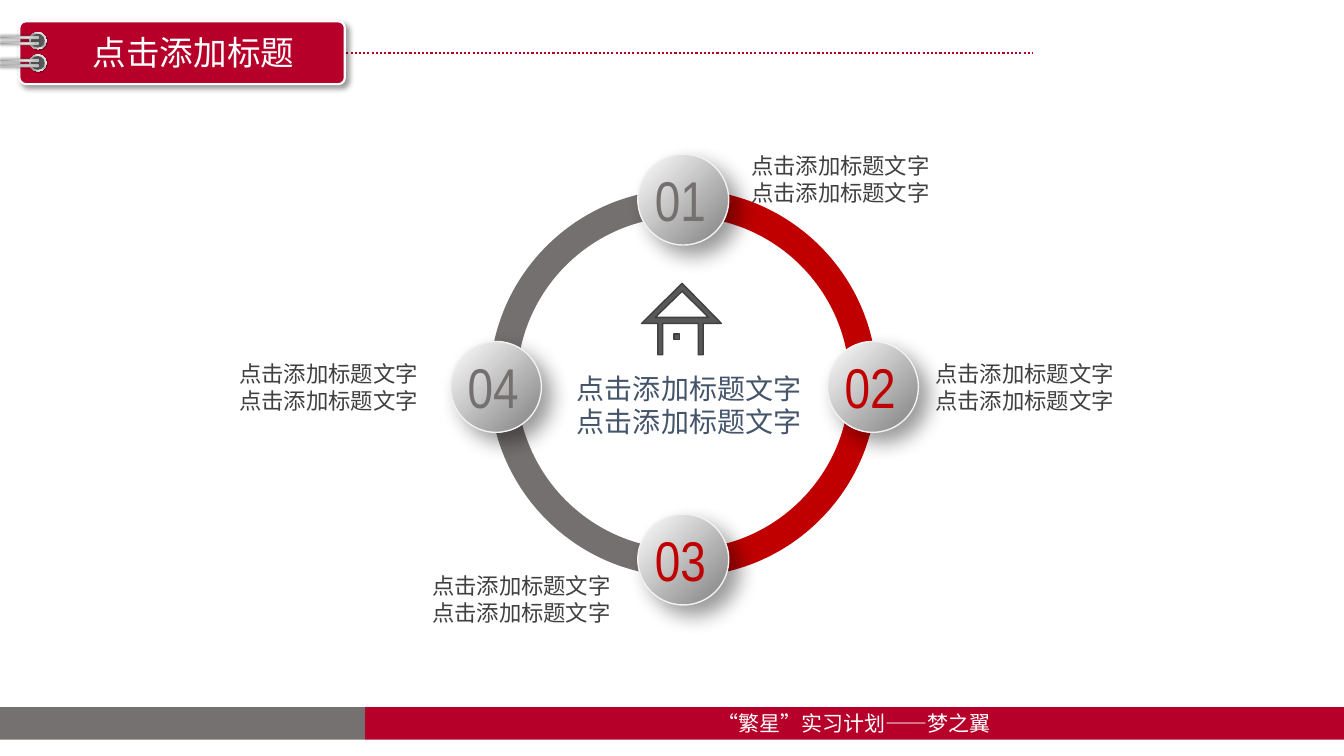
"""Build a four-step ring slide with a clipped title tag and a footer."""
from dataclasses import dataclass
from typing import NamedTuple, Optional

from pptx import Presentation
from pptx import util as u
from pptx.dml.color import RGBColor
from pptx.enum import dml, shapes, text
from pptx.oxml import parse_xml
from pptx.oxml.ns import nsdecls, qn

Stops = tuple[tuple[int, str], ...]
Point = tuple[float, float]
OVAL = shapes.MSO_SHAPE.OVAL
RECT = shapes.MSO_SHAPE.RECTANGLE
ROUND = shapes.MSO_SHAPE.ROUNDED_RECTANGLE


@dataclass(frozen=True)
class Theme:
    """Colours, fonts and type sizes."""
    brand: str = "B6002A"
    red: str = "C00000"
    grey: str = "757070"
    base: str = "767171"
    white: str = "FFFFFF"
    rim: str = "F2F2F2"
    steel: str = "BFBFBF"
    dark: str = "595959"
    ink: str = "404040"
    slate: str = "44546A"
    disc: Stops = ((0, "FFFFFF"), (100, "808080"))
    ring: Stops = ((0, "FFFFFF"), (17, "A6A6A6"), (35, "F2F2F2"),
                   (55, "A6A6A6"), (75, "F2F2F2"), (100, "A6A6A6"))
    rod: Stops = ((0, "808080"), (23, "A6A6A6"), (52, "D9D9D9"),
                  (74, "FFFFFF"), (100, "A6A6A6"))
    hans: str = "Noto Sans CJK SC"
    slim: str = "Arial Narrow"
    foot: int = 15
    body: int = 16
    core: int = 20
    title: int = 24
    digit: int = 40


class Box(NamedTuple):
    """Left, top, width and height in centimetres."""
    x: float
    y: float
    w: float
    h: float

    def cm(self) -> list[u.Length]:
        """Give the four lengths."""
        return [u.Cm(side) for side in self]


class Shade(NamedTuple):
    """Blur and distance in points, angle in degrees."""
    blur: float
    dist: float
    angle: int


class Step(NamedTuple):
    """One disc with its number and label."""
    mark: str
    hub: Point
    tint: str
    wide: float
    note: Point


class Arc(NamedTuple):
    """A quarter of the ring, from one direction to the next."""
    start: tuple[int, int]
    end: tuple[int, int]
    tint: str


T = Theme()
HUB: Point = (17.22, 9.65)
OUTER, INNER, DISC, BEND = 4.88, 4.19, 2.29, 0.55
LABEL = "点击添加标题文字"
STEPS = (
    Step("01", (17.22, 5.03), T.grey, 1.83, (18.68, 3.71)),
    Step("02", (22.0, 9.75), T.red, 2.01, (23.32, 8.95)),
    Step("03", (17.22, 14.1), T.red, 2.03, (10.64, 14.3)),
    Step("04", (12.5, 9.75), T.grey, 1.98, (5.78, 8.95)),
)
ARCS = (
    Arc((-1, 0), (0, 1), T.grey),
    Arc((1, 0), (0, -1), T.red),
    Arc((0, -1), (-1, 0), T.grey),
    Arc((0, 1), (1, 0), T.red),
)
HOUSE: list[list[Point]] = [
    [(17.19, 7.14), (16.17, 8.15), (16.58, 8.15), (16.58, 8.94),
     (16.7, 8.94), (16.7, 8.15), (17.6, 8.15), (17.6, 8.94),
     (17.72, 8.94), (17.72, 8.15), (18.18, 8.15)],
    [(16.51, 8.0), (17.19, 7.34), (17.86, 8.0)],
    [(16.99, 8.42), (16.99, 8.55), (17.13, 8.55), (17.13, 8.42)],
]


def paint(shape, fill: str, edge: Optional[str] = None, width: float = 1) -> None:
    """Set a plain fill and an optional outline."""
    shape.shadow.inherit = False
    shape.fill.solid()
    shape.fill.fore_color.rgb = RGBColor.from_string(fill)
    if edge:
        shape.line.color.rgb = RGBColor.from_string(edge)
        shape.line.width = u.Pt(width)
    else:
        shape.line.fill.background()


def blend(shape, stops: Stops, angle: int) -> None:
    """Swap the fill for a linear gradient."""
    shape.fill.background()
    marks = "".join(f'<a:gs pos="{pos * 1000}"><a:srgbClr val="{tint}"/></a:gs>'
                    for pos, tint in stops)
    grad = parse_xml(f'<a:gradFill {nsdecls("a")} rotWithShape="1"><a:gsLst>{marks}'
                     f'</a:gsLst><a:lin ang="{angle * 60000}" scaled="0"/></a:gradFill>')
    props = shape._element.spPr
    props.replace(props.find(qn("a:noFill")), grad)


def cast(shape, shade: Shade) -> None:
    """Add an outer shadow."""
    shape._element.spPr.find(qn("a:effectLst")).append(parse_xml(
        f'<a:outerShdw {nsdecls("a")} blurRad="{u.Pt(shade.blur)}" '
        f'dist="{u.Pt(shade.dist)}" dir="{shade.angle * 60000}" algn="ctr" '
        'rotWithShape="0"><a:srgbClr val="000000"><a:alpha val="40000"/>'
        '</a:srgbClr></a:outerShdw>'))


def block(slide, kind, box: Box, fill: str, edge: Optional[str] = None, width: float = 1):
    """Draw a preset shape."""
    shape = slide.shapes.add_shape(kind, *box.cm())
    paint(shape, fill, edge, width)
    return shape


def trace(slide, loops: list[list[Point]], fill: str, edge: Optional[str] = None):
    """Draw closed outlines as one shape."""
    paths = [[(u.Cm(x), u.Cm(y)) for x, y in loop] for loop in loops]
    pen = slide.shapes.build_freeform(*paths[0][0])
    pen.add_line_segments(paths[0][1:])
    for path in paths[1:]:
        pen.move_to(*path[0])
        pen.add_line_segments(path[1:])
    shape = pen.convert_to_shape()
    paint(shape, fill, edge)
    return shape


def sweep(slide, arc: Arc) -> None:
    """Draw a quarter ring with two true curves."""
    def spot(radius: float, ahead: float, along: float) -> Point:
        """Place a point by its shares of the two directions."""
        return (HUB[0] + radius * (ahead * arc.start[0] + along * arc.end[0]),
                HUB[1] + radius * (ahead * arc.start[1] + along * arc.end[1]))

    near, far = spot(INNER, 1, 0), spot(OUTER, 1, 0)
    shape = trace(slide, [[near, far, spot(OUTER, 0, 1), spot(INNER, 0, 1), near]], arc.tint)
    sides = list(shape._element.iter(qn("a:lnTo")))
    bends = ((sides[1], [spot(OUTER, 1, BEND), spot(OUTER, BEND, 1), spot(OUTER, 0, 1)]),
             (sides[3], [spot(INNER, BEND, 1), spot(INNER, 1, BEND), near]))
    for side, knots in bends:
        marks = "".join(f'<a:pt x="{u.Cm(x) - shape.left}" y="{u.Cm(y) - shape.top}"/>'
                        for x, y in knots)
        curve = parse_xml(f'<a:cubicBezTo {nsdecls("a")}>{marks}</a:cubicBezTo>')
        side.getparent().replace(side, curve)


def write(slide, box: Box, lines: list[str], size: int, tint: str,
          face: str = T.hans, align=None) -> None:
    """Write lines of text in an unwrapped box."""
    frame = slide.shapes.add_textbox(*box.cm()).text_frame
    frame.word_wrap = False
    frame.auto_size = text.MSO_AUTO_SIZE.SHAPE_TO_FIT_TEXT
    for num, line in enumerate(lines):
        para = frame.add_paragraph() if num else frame.paragraphs[0]
        para.alignment = align
        run = para.add_run()
        run.text = line
        run.font.size = u.Pt(size)
        run.font.color.rgb = RGBColor.from_string(tint)
        run.font.name = face
        run.font._element.append(parse_xml(f'<a:ea {nsdecls("a")} typeface="{face}"/>'))


def dress(slide) -> None:
    """Draw the footer, the dotted rule and the title tag."""
    mid = text.PP_ALIGN.CENTER
    block(slide, RECT, Box(9.2, 17.82, 24.67, 0.82), T.brand)
    write(slide, Box(17.76, 17.78, 7.54, 0.89), ["“繁星”实习计划——梦之翼"],
          T.foot, T.white, align=mid)
    rule = slide.shapes.add_connector(shapes.MSO_CONNECTOR.STRAIGHT, u.Cm(8.41),
                                      u.Cm(1.33), u.Cm(26.01), u.Cm(1.33))
    rule.line.color.rgb = RGBColor.from_string(T.brand)
    rule.line.width = u.Pt(1.5)
    rule.line.dash_style = dml.MSO_LINE.ROUND_DOT
    rule._element.spPr.append(parse_xml(f'<a:effectLst {nsdecls("a")}/>'))
    tag = block(slide, ROUND, Box(0.49, 0.54, 8.2, 1.58), T.brand, T.white, 1.5)
    tag.adjustments[0] = 0.1
    cast(tag, Shade(4, 3, 45))
    for top in (1.37, 0.81):
        ring = block(slide, OVAL, Box(0.74, top, 0.43, 0.43), T.white)
        blend(ring, T.ring, 45)
        cast(ring, Shade(1, 1, 45))
        hole = block(slide, OVAL, Box(0.78, top + 0.04, 0.35, 0.35), T.dark)
        ring.rotation = hole.rotation = 270
    for top in (1.17, 1.04, 0.61, 0.46):
        rod = block(slide, ROUND, Box(0.46, top, 0.05, 0.97), T.white, T.steel)
        rod.adjustments[0] = 0.5
        rod.rotation = 270
        blend(rod, T.rod, 90)
        cast(rod, Shade(2, 0, 0))
    block(slide, RECT, Box(0, 17.82, 9.2, 0.82), T.base)
    write(slide, Box(2.06, 0.69, 5.64, 1.27), ["点击添加标题"], T.title, T.white, align=mid)


def wheel(slide) -> None:
    """Draw the ring, its four steps and the centre."""
    trace(slide, HOUSE, T.dark, T.ink)
    for arc in ARCS:
        sweep(slide, arc)
    for step in STEPS:
        left, top = (mid - DISC / 2 for mid in step.hub)
        disc = block(slide, OVAL, Box(left, top, DISC, DISC), T.white, T.rim)
        blend(disc, T.disc, 45)
        cast(disc, Shade(15, 10, 45))
        write(slide, Box(left + 0.18, top + 0.16, step.wide, 1.96), [step.mark],
              T.digit, step.tint, T.slim)
        write(slide, Box(*step.note, 5.08, 1.63), [LABEL] * 2, T.body, T.ink)
    write(slide, Box(14.29, 9.23, 6.22, 1.96), [LABEL] * 2, T.core, T.slate)


def main() -> None:
    """Build and save the deck."""
    deck = Presentation()
    deck.slide_width, deck.slide_height = u.Cm(33.87), u.Cm(19.05)
    slide = deck.slides.add_slide(deck.slide_layouts[6])
    dress(slide)
    wheel(slide)
    deck.save("out.pptx")


if __name__ == "__main__":
    main()
